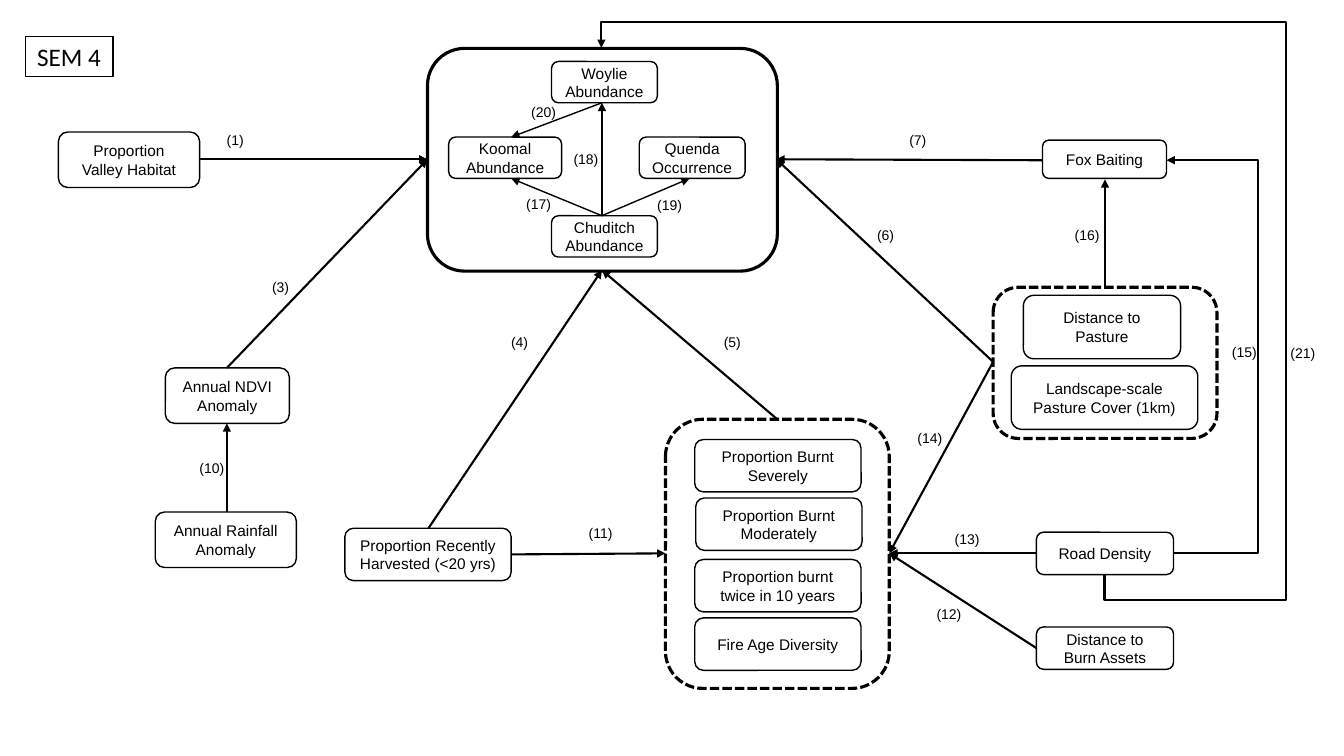
"""Build the SEM 4 path diagram slide."""
from pptx import Presentation
from pptx import util as u
from pptx.dml.color import RGBColor
from pptx.enum import dml, shapes, text
from pptx.oxml.ns import qn
from lxml import etree

INK = {"black": "000000", "white": "FFFFFF"}

NODES = [
    ("Woylie Abundance", 5.47, 0.61, 1.05, 0.41),
    ("Quenda Occurrence", 6.34, 1.36, 1.05, 0.41),
    ("Chuditch Abundance", 5.47, 2.14, 1.05, 0.41),
    ("Koomal Abundance", 4.45, 1.36, 1.12, 0.41),
    ("Proportion Burnt Severely", 6.89, 4.36, 1.65, 0.52),
    ("Proportion Burnt Moderately", 6.9, 4.94, 1.65, 0.52),
    ("Proportion burnt twice in 10 years", 6.89, 5.55, 1.65, 0.52),
    ("Fire Age Diversity", 6.89, 6.13, 1.65, 0.52),
    ("Proportion Recently Harvested (<20 yrs)", 3.42, 5.24, 1.65, 0.52),
    ("Fox Baiting", 10.34, 1.39, 1.23, 0.38),
    ("Distance to Pasture", 10.15, 2.93, 1.56, 0.63),
    ("Landscape-scale Pasture Cover (1km)", 10.03, 3.63, 1.85, 0.63),
    ("Road Density", 10.28, 5.28, 1.36, 0.42),
    ("Distance to Burn Assets", 10.28, 6.22, 1.36, 0.42),
    ("Proportion Valley Habitat", 0.58, 1.31, 1.4, 0.55),
    ("Annual NDVI Anomaly", 1.64, 3.65, 1.23, 0.55),
    ("Annual Rainfall Anomaly", 1.54, 5.08, 1.4, 0.55),
]

FRAMES = [
    (4.24, 0.48, 3.47, 2.21, False),
    (6.6, 4.16, 2.22, 2.67, True),
    (9.85, 2.85, 2.22, 1.5, True),
]

WOYLIE, CHUDITCH, KOOMAL = (5.97, 1.02), (5.97, 2.14), (5.07, 1.36)
LEFT, BASE, RIGHT = (4.24, 1.58), (5.97, 2.68), (7.7, 1.58)
FIRE, PASTURE = (8.82, 5.49), (9.85, 3.59)

INNER = [
    (CHUDITCH, (5.07, 1.77)),
    (CHUDITCH, (6.84, 1.77)),
    (WOYLIE, KOOMAL),
    (CHUDITCH, WOYLIE),
]

OUTER = [
    ((1.98, 1.58), LEFT),
    ((2.25, 3.65), LEFT),
    ((2.25, 5.08), (2.25, 4.2)),
    ((4.25, 5.24), BASE),
    ((7.71, 4.16), BASE),
    (PASTURE, RIGHT),
    ((10.34, 1.59), RIGHT),
    ((5.07, 5.5), (6.6, 5.49)),
    ((10.28, 6.43), FIRE),
    ((10.28, 5.49), FIRE),
    (PASTURE, FIRE),
    ((10.96, 2.85), (10.96, 1.78)),
]

LABELS = {
    1: (2.15, 1.26), 3: (2.6, 2.71), 4: (4.97, 3.26), 5: (7.08, 3.26),
    6: (8.6, 2.2), 7: (8.92, 1.26), 10: (1.88, 4.51), 11: (5.74, 5.15),
    12: (9.19, 5.96), 13: (9.37, 5.21), 14: (9, 4.21), 15: (12.12, 3.36),
    16: (10.56, 2.2), 17: (5.12, 1.89), 18: (5.59, 1.44), 19: (6.42, 1.9),
    20: (5.17, 0.98), 21: (12.7, 3.37),
}


def color(name):
    """Return a named colour."""
    return RGBColor.from_string(INK[name])


def write(shape, words, size=11, font="Arial", align="CENTER", anchor="MIDDLE"):
    """Put formatted text in a shape."""
    frame = shape.text_frame
    frame.word_wrap = True
    frame.auto_size = text.MSO_AUTO_SIZE.NONE
    frame.vertical_anchor = getattr(text.MSO_ANCHOR, anchor)
    para = frame.paragraphs[0]
    para.alignment = getattr(text.PP_ALIGN, align)
    run = para.add_run()
    run.text = words
    run.font.size = u.Pt(size)
    run.font.name = font
    run.font.color.rgb = color("black")


def ink(line, width):
    """Set a black line of the given width."""
    line.color.rgb = color("black")
    line.width = u.Pt(width)


def round_box(slide, x, y, w, h, width):
    """Add a rounded outline without a shadow."""
    box = slide.shapes.add_shape(
        shapes.MSO_SHAPE.ROUNDED_RECTANGLE, *map(u.Inches, (x, y, w, h)))
    box.shadow.inherit = False
    ink(box.line, width)
    return box


def node(slide, words, *place):
    """Add a variable box."""
    box = round_box(slide, *place, 1)
    box.fill.solid()
    box.fill.fore_color.rgb = color("white")
    write(box, words)


def frame(slide, x, y, w, h, dashed):
    """Add an unfilled frame around a set of boxes."""
    box = round_box(slide, x, y, w, h, 2.25)
    box.fill.background()
    if dashed:
        box.line.dash_style = dml.MSO_LINE.SQUARE_DOT


def arrow(slide, start, end, width=1.5, kind="STRAIGHT"):
    """Add a connector with an arrowhead at its end."""
    link = slide.shapes.add_connector(
        getattr(shapes.MSO_CONNECTOR, kind), *map(u.Inches, start + end))
    ink(link.line, width)
    props = link.line._get_or_add_ln()
    etree.SubElement(props, qn("a:tailEnd"), type="triangle")
    etree.SubElement(link._element.spPr, qn("a:effectLst"))
    return link


def bend(slide, start, end, preset, turns, angle=0):
    """Add an elbow arrow whose turns are shares of its length."""
    props = arrow(slide, start, end, kind="ELBOW")._element.spPr
    props.find(qn("a:xfrm")).set("rot", str(angle * 60000))
    geom = props.find(qn("a:prstGeom"))
    geom.set("prst", preset)
    guides = geom.find(qn("a:avLst"))
    for num, turn in enumerate(turns, 1):
        etree.SubElement(guides, qn("a:gd"), name=f"adj{num}",
                         fmla=f"val {round(turn * 100000)}")


def label(slide, num, x, y):
    """Add a path number."""
    box = slide.shapes.add_textbox(*map(u.Inches, (x, y, 0.51, 0.27)))
    write(box, f"({num})", size=10, align="LEFT", anchor="TOP")


def head(slide, words):
    """Place the boxed slide title."""
    box = slide.shapes.title
    box.left, box.top, box.width, box.height = map(
        u.Inches, (0.25, 0.36, 0.87, 0.4))
    box.fill.solid()
    box.fill.fore_color.rgb = color("white")
    ink(box.line, 1)
    write(box, words, size=18, font="Calibri")


def main():
    """Draw the diagram and save it."""
    deck = Presentation()
    deck.slide_width, deck.slide_height = u.Inches(13.33), u.Inches(7.5)
    slide = deck.slides.add_slide(deck.slide_layouts[5])
    head(slide, "SEM 4")
    for item in FRAMES:
        frame(slide, *item)
    for item in NODES:
        node(slide, *item)
    for start, end in INNER:
        arrow(slide, start, end, width=1)
    for start, end in OUTER:
        arrow(slide, start, end)
    bend(slide, (11.64, 5.49), (11.57, 1.59), "bentConnector3", [-12])
    bend(slide, (11.07, 0.59), (5.85, 5.58), "bentConnector5",
         [-0.05, -0.36, 1.05], angle=90)
    for num, place in LABELS.items():
        label(slide, num, *place)
    deck.save("out.pptx")


if __name__ == "__main__":
    main()
